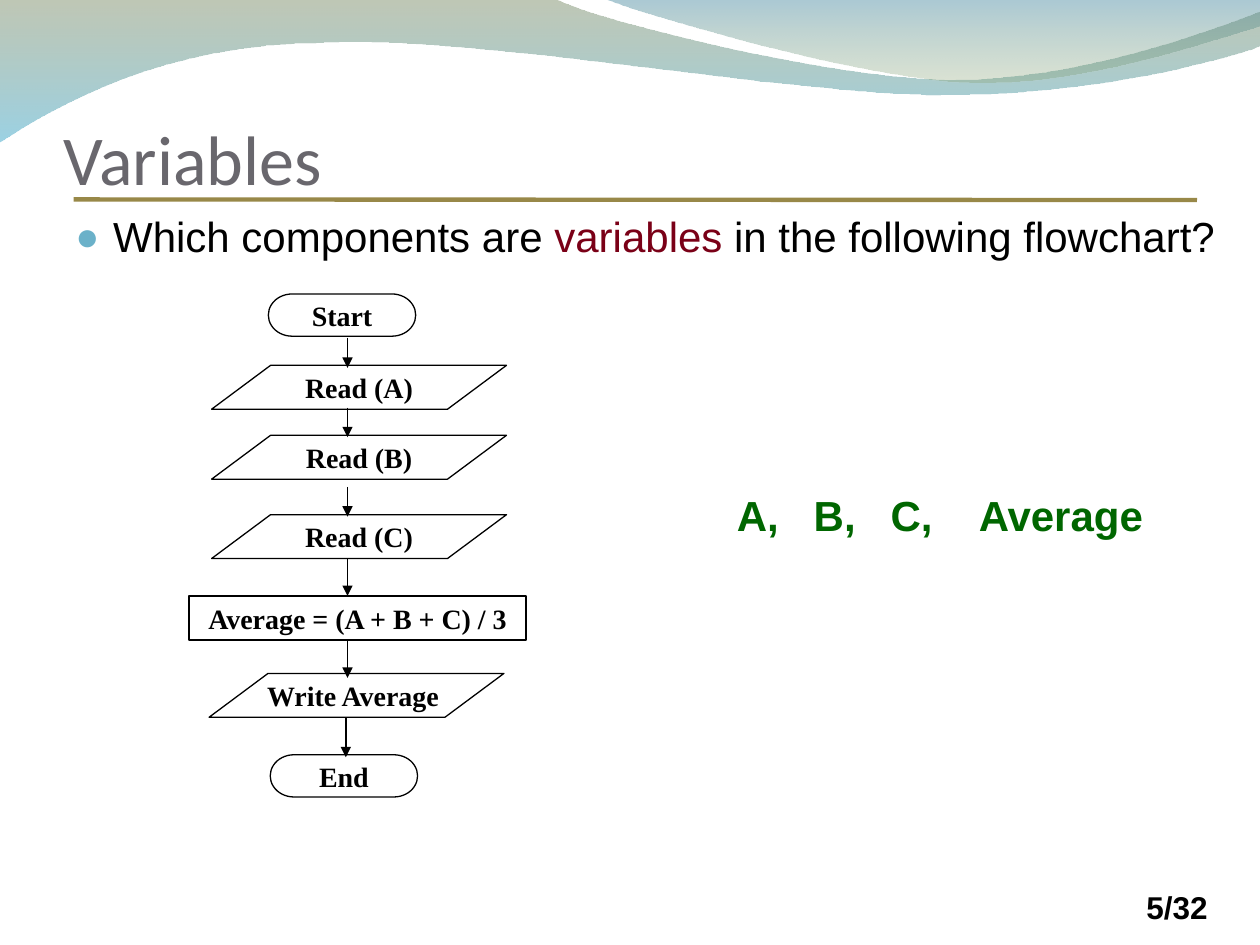
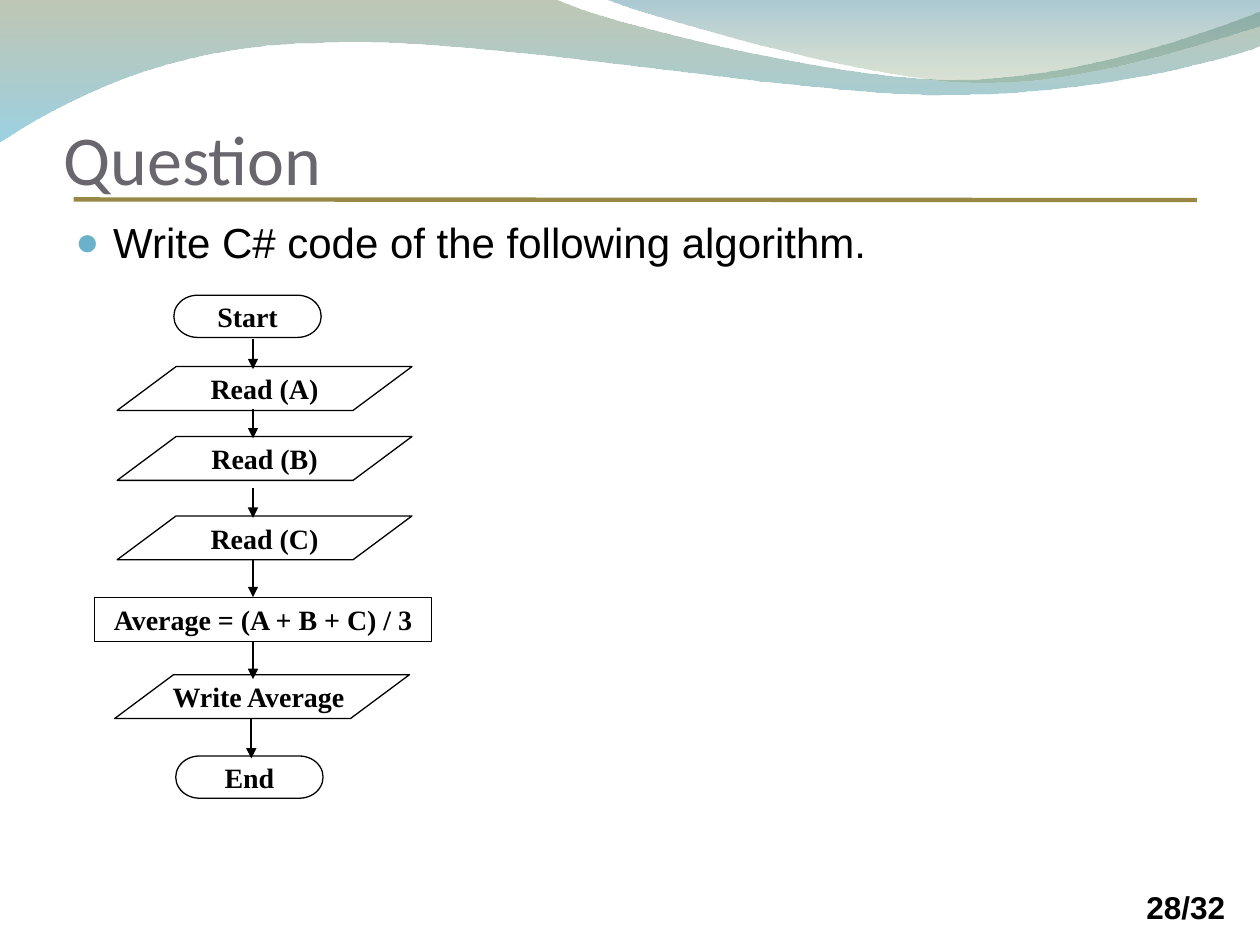
from dataclasses import dataclass

import pptx
import pptx.dml.color
import pptx.enum.shapes
import pptx.enum.text
import pptx.oxml
import pptx.oxml.ns
import pptx.util

COLUMNS, ROWS = 100, 75  # square cells of a tenth of an inch
CELL = pptx.util.Inches(0.1)

SHAPE = pptx.enum.shapes.MSO_SHAPE
ANCHOR = pptx.enum.text.MSO_ANCHOR
CENTER = pptx.enum.text.PP_ALIGN.CENTER


@dataclass(frozen=True)
class Theme:
    ink: str = "000000"
    title: str = "69676D"
    rule: str = "988848"
    bullet: str = "6BB1C9"
    accent: str = "7A0017"
    answer: str = "006600"
    # Gradient stops from top to bottom: colour, opacity in percent
    wide_wave: tuple = (("72845C", 45), ("49ACCD", 55))
    small_wave: tuple = (("42869E", 45), ("8AA26C", 30))
    heading_font: str = "Calibri"
    body_font: str = "Arial"
    flow_font: str = "Times New Roman"
    title_size: int = 40
    body_size: int = 24
    page_size: int = 18
    flow_size: int = 16


THEME = Theme()

# Wave outlines in cells: one point is a line, three points are a curve
WIDE_WAVE = [
    [(0, -0.1)], [(44, -0.1)],
    [(47.6, 1.7), (66.4, 6.3), (75.8, 6.3)],
    [(85.3, 6.3), (95.8, 2.6), (100, 0.9)],
    [(100.1, 3.6)],
    [(98.3, 4.4), (87, 7.6), (74.6, 7.5)],
    [(62.2, 7.5), (38.2, 2.8), (25.7, 3.4)],
    [(12.9, 3.5), (4.6, 8.3), (-0.1, 11.3)],
]
SMALL_WAVE = [
    [(47.9, -0.1)],
    [(50.9, 1.1), (68.2, 6.2), (76.9, 6.5)],
    [(85.6, 6.9), (96.1, 3.2), (100, 2.1)],
    [(100, 0)],
]

# Preset, width and height of each kind of flowchart step
STEP_KINDS = {
    "terminal": (SHAPE.FLOWCHART_TERMINATOR, 11.7, 3.35),
    "data": (SHAPE.FLOWCHART_DATA, 23.4, 3.48),
    "process": (SHAPE.FLOWCHART_PROCESS, 26.75, 3.5),
}
# Text, kind, left and top within the chart
STEPS = [
    ("Start", "terminal", 6.3, 0.03),
    ("Read (A)", "data", 1.8, 5.7),
    ("Read (B)", "data", 1.8, 11.25),
    ("Read (C)", "data", 1.8, 17.55),
    ("Average = (A + B + C) / 3", "process", 0, 24),
    ("Write Average ", "data", 1.6, 30.15),
    ("End", "terminal", 6.45, 36.6),
]
# Column, first row and last row within the chart
ARROWS = [
    (12.58, 3.5, 5.9), (12.58, 9.05, 11.4), (12.58, 15.35, 17.7),
    (12.58, 21.05, 24), (12.58, 27.5, 30.5), (12.45, 33.63, 36.8),
]


def cells(*counts):
    return [pptx.util.Emu(round(count * CELL)) for count in counts]


def rgb(color):
    return pptx.dml.color.RGBColor.from_string(color)


def apply(target, values):
    for name, value in values.items():
        setattr(target, name, value)


def element(tag, **attributes):
    node = pptx.oxml.parse_xml(f"<a:{tag} {pptx.oxml.ns.nsdecls('a')}/>")
    for name, value in attributes.items():
        node.set(name, str(value))
    return node


def write(paragraph, pieces, font, size, bold=False):
    """Add runs, given as pairs of text and colour."""
    for text, color in pieces:
        run = paragraph.add_run()
        run.text = text
        apply(run.font, {"name": font, "size": pptx.util.Pt(size), "bold": bold})
        run.font.color.rgb = rgb(color)


def text_box(slide, box, **frame_format):
    frame = slide.shapes.add_textbox(*cells(*box)).text_frame
    apply(frame, {"word_wrap": True, **frame_format})
    return frame.paragraphs[0]


def straight(slide, start, end, color, width):
    connector = slide.shapes.add_connector(
        pptx.enum.shapes.MSO_CONNECTOR.STRAIGHT, *cells(*start, *end))
    connector.line.color.rgb = rgb(color)
    connector.line.width = pptx.util.Pt(width)
    properties = connector.element.spPr
    properties.append(element("effectLst"))
    return properties.find(pptx.oxml.ns.qn("a:ln"))


def bend(shape, segments):
    """Join the lines of each three-point segment into one cubic curve."""
    lines = shape.element.spPr.iter(pptx.oxml.ns.qn("a:lnTo"))
    lines = iter(list(lines))
    for segment in segments[1:]:
        first, *others = [next(lines) for _ in segment]
        if others:
            curve = element("cubicBezTo")
            first.addprevious(curve)
            for line in (first, *others):
                curve.append(line[0])
                line.getparent().remove(line)


def wave(slide, segments, stops):
    start, *rest = [cells(*point) for segment in segments for point in segment]
    builder = slide.shapes.build_freeform(*start)
    builder.add_line_segments(rest, close=True)
    band = builder.convert_to_shape()
    bend(band, segments)
    band.shadow.inherit = False
    band.line.fill.background()
    band.fill.gradient()
    band.fill.gradient_angle = 270
    for stop, (color, _) in zip(band.fill.gradient_stops, stops):
        stop.color.rgb = rgb(color)
    colors = band.element.spPr.iter(pptx.oxml.ns.qn("a:srgbClr"))
    for node, (_, opacity) in zip(colors, stops):
        node.append(element("alpha", val=opacity * 1000))


def slide_frame(deck, title, page):
    """Waves, title, rule and page number shared by all slides."""
    slide = deck.slides.add_slide(deck.slide_layouts[6])
    wave(slide, WIDE_WAVE, THEME.wide_wave)
    wave(slide, SMALL_WAVE, THEME.small_wave)
    straight(slide, (5.85, 15.83), (95, 15.88), THEME.rule, 2.5)
    heading = text_box(slide, (5.04, 3.3, 90, 12.5), vertical_anchor=ANCHOR.BOTTOM,
                       margin_left=0, margin_right=0, margin_bottom=0)
    write(heading, [(title, THEME.title)], THEME.heading_font, THEME.title_size)
    number = text_box(slide, (90, 70, 9.2, 5))
    write(number, [(page, THEME.ink)], THEME.body_font, THEME.page_size, bold=True)
    return slide


def bullet_line(slide, box, pieces, line_spacing=1.0):
    paragraph = text_box(slide, box)
    properties = paragraph._p.get_or_add_pPr()
    indent = cells(3)[0]
    properties.set("marL", str(indent))
    properties.set("indent", str(-indent))
    bullet_color = element("buClr")
    bullet_color.append(element("srgbClr", val=THEME.bullet))
    for node in (bullet_color, element("buSzPct", val=95000),
                 element("buFont", typeface=THEME.body_font),
                 element("buChar", char="●")):
        properties.append(node)
    paragraph.line_spacing = line_spacing
    write(paragraph, pieces, THEME.body_font, THEME.body_size)


def flowchart(slide, left, top):
    # Steps
    for text, kind, dx, dy in STEPS:
        preset, width, height = STEP_KINDS[kind]
        step = slide.shapes.add_shape(
            preset, *cells(left + dx, top + dy, width, height))
        step.shadow.inherit = False
        step.fill.background()
        step.line.color.rgb = rgb(THEME.ink)
        step.line.width = pptx.util.Pt(0.75)
        apply(step.text_frame, {"word_wrap": False, "vertical_anchor": ANCHOR.MIDDLE})
        label = step.text_frame.paragraphs[0]
        label.alignment = CENTER
        write(label, [(text, THEME.ink)], THEME.flow_font, THEME.flow_size, bold=True)
    # Arrows
    for column, start, end in ARROWS:
        line = straight(slide, (left + column, top + start),
                        (left + column, top + end), THEME.ink, 1)
        line.append(element("tailEnd", type="triangle"))


def answer(slide, box, names, tab_columns):
    paragraph = text_box(slide, box)
    tabs = element("tabLst")
    for position in cells(*tab_columns):
        tabs.append(element("tab", pos=int(position), algn="l"))
    paragraph._p.get_or_add_pPr().append(tabs)
    write(paragraph, [("\t".join(names), THEME.answer)],
          THEME.body_font, THEME.body_size, bold=True)


def variables_slide(deck):
    slide = slide_frame(deck, "Variables", "5/32")
    bullet_line(slide, (5, 16.7, 95, 53.3), [
        ("Which components are ", THEME.ink),
        ("variables", THEME.accent),
        (" in the following flowchart?", THEME.ink),
    ], line_spacing=0.9)
    flowchart(slide, 15, 23.3)
    answer(slide, (57.5, 38.35, 35.3, 5), ["A,", "B,", "C,", "Average"], (6.1, 12.2, 19.2))


def question_slide(deck):
    slide = slide_frame(deck, "Question", "28/32")
    bullet_line(slide, (5, 16.7, 90, 53.3),
                [("Write C# code of the following algorithm.", THEME.ink)])
    flowchart(slide, 7.5, 23.4)


def main():
    deck = pptx.Presentation()
    deck.slide_width, deck.slide_height = cells(COLUMNS, ROWS)
    variables_slide(deck)
    question_slide(deck)
    deck.save("out.pptx")


if __name__ == "__main__":
    main()
